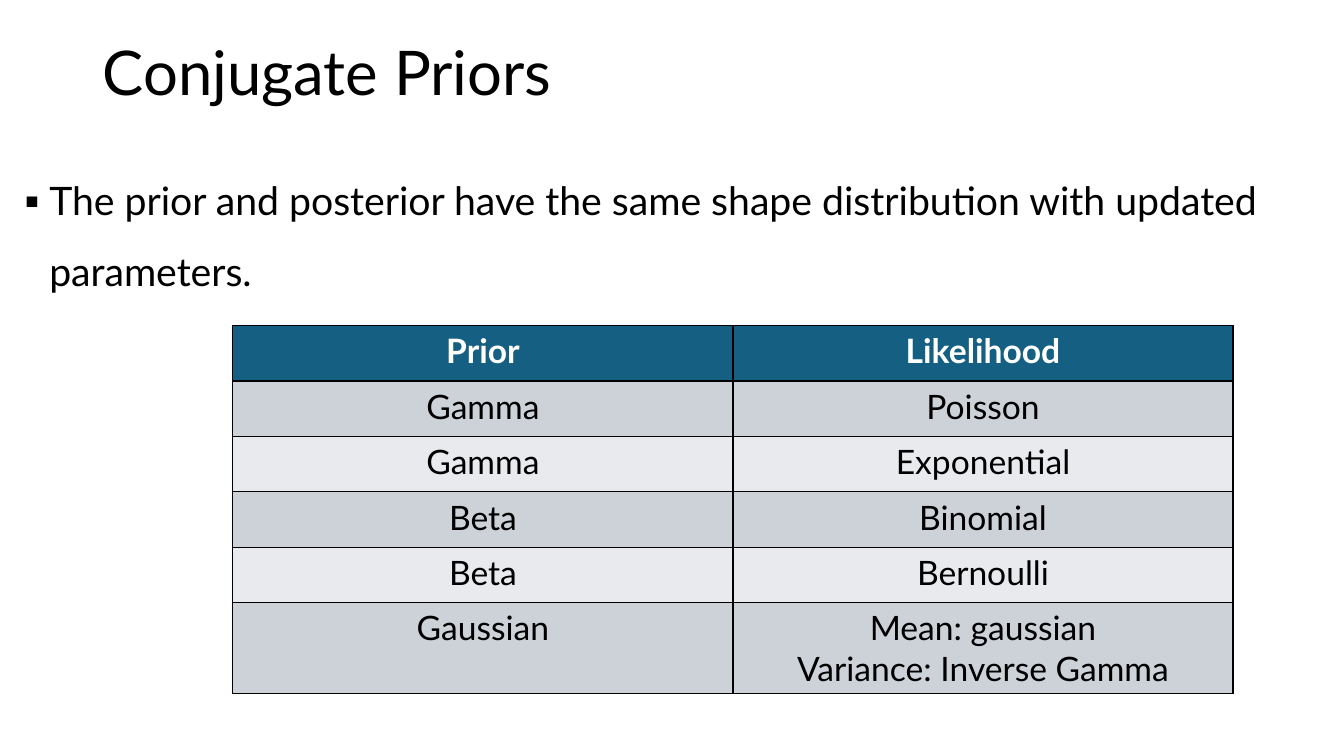
import lxml.etree
import pptx
import pptx.dml.color
import pptx.enum.text
import pptx.oxml.ns
import pptx.util

PX = 9144
FONT = "Lato"
HUES = {"ink": "000000", "pale": "FFFFFF", "head": "156082",
        "odd": "CCD2D8", "even": "E8EAED"}
ROWS = [
    ("Prior", "Likelihood"),
    ("Gamma", "Poisson"),
    ("Gamma", "Exponential"),
    ("Beta", "Binomial"),
    ("Beta", "Bernoulli"),
    ("Gaussian", "Mean: gaussian\nVariance: Inverse Gamma"),
]


def scale(*box):
    return [n * PX for n in box]


def hue(name):
    return pptx.dml.color.RGBColor.from_string(HUES[name])


def add_node(base, tag, **attrs):
    return lxml.etree.SubElement(base, pptx.oxml.ns.qn(tag), attrs)


def add_run(para, text, size, ink="ink", bold=False):
    run = para.add_run()
    run.text = text
    run.font.name = FONT
    run.font.size = pptx.util.Pt(size)
    run.font.bold = bold
    run.font.color.rgb = hue(ink)


def add_frame(slide, box, anchor):
    frame = slide.shapes.add_textbox(*scale(*box)).text_frame
    frame.word_wrap = True
    frame.vertical_anchor = anchor
    return frame


def add_title(slide, box):
    frame = add_frame(slide, box, pptx.enum.text.MSO_ANCHOR.MIDDLE)
    para = frame.paragraphs[0]
    para.line_spacing = 0.9
    add_run(para, "Conjugate Priors", 44)


def add_body(slide, box):
    frame = add_frame(slide, box, pptx.enum.text.MSO_ANCHOR.TOP)
    para = frame.paragraphs[0]
    para.line_spacing = 1.5
    para.space_before = pptx.util.Pt(10)
    props = para._p.get_or_add_pPr()
    props.set("marL", str(25 * PX))
    props.set("indent", str(-25 * PX))
    add_node(props, "a:buFont", typeface=FONT)
    add_node(props, "a:buChar", char="▪")
    add_run(para, "The prior and posterior have the same shape "
            "distribution with updated parameters.", 28)


def add_edges(cell):
    props = cell._tc.get_or_add_tcPr()
    for side in ("a:lnL", "a:lnR", "a:lnT", "a:lnB"):
        edge = add_node(props, side, w=str(pptx.util.Pt(1)))
        add_node(add_node(edge, "a:solidFill"), "a:srgbClr", val=HUES["ink"])


def fill_cell(cell, text, shade, ink, bold):
    add_edges(cell)
    cell.fill.solid()
    cell.fill.fore_color.rgb = hue(shade)
    frame = cell.text_frame
    for i, line in enumerate(text.split("\n")):
        para = frame.add_paragraph() if i else frame.paragraphs[0]
        para.alignment = pptx.enum.text.PP_ALIGN.CENTER
        add_run(para, line, 24, ink, bold)


def add_grid(slide, box, step):
    left, top, width, height = box
    last = len(ROWS) - 1
    table = slide.shapes.add_table(
        len(ROWS), len(ROWS[0]), *scale(left, top, width, height)).table
    for col in table.columns:
        col.width = width * PX // len(ROWS[0])
    for r, row in enumerate(ROWS):
        table.rows[r].height = (step if r < last else height - last * step) * PX
        head = r == 0
        shade = "head" if head else "odd" if r % 2 else "even"
        for c, text in enumerate(row):
            fill_cell(table.cell(r, c), text, shade,
                      "pale" if head else "ink", head)


def main():
    deck = pptx.Presentation()
    deck.slide_width, deck.slide_height = scale(1333, 750)
    slide = deck.slides.add_slide(deck.slide_layouts[6])
    add_title(slide, (92, 2, 1150, 145))
    add_body(slide, (14, 147, 1319, 588))
    add_grid(slide, (231, 323, 992, 364), 55)
    deck.save("out.pptx")


if __name__ == "__main__":
    main()
